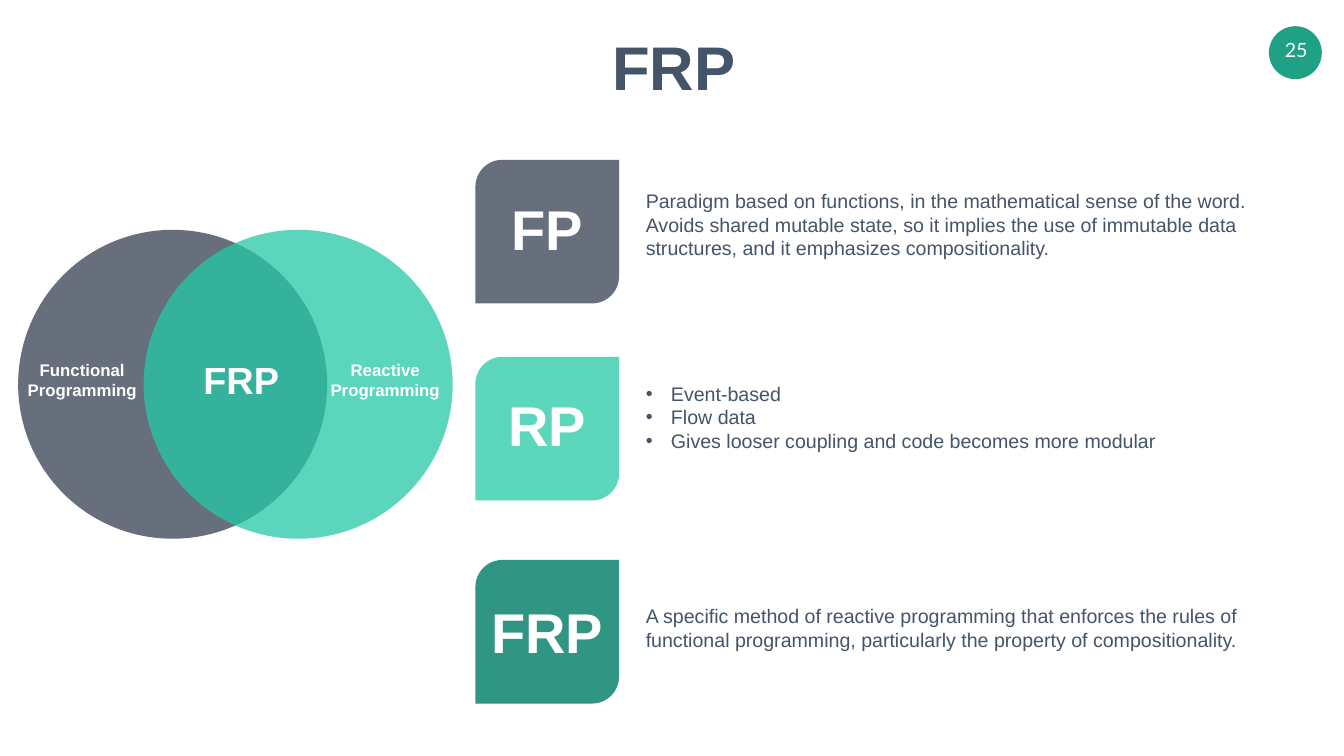
from lxml import etree
from pptx import Presentation
from pptx.dml.color import RGBColor
from pptx.enum import shapes, text
from pptx.oxml.ns import qn
from pptx.util import Inches, Pt

WHITE, SLATE = "FFFFFF", "445469"
CIRCLE_TOP, CIRCLE_SIZE = 4.56, 6.13
CIRCLES = [(0.36, "333F4F"), (2.85, "25C9A6")]  # left, colour
CIRCLE_LABELS = [  # left, top, width, height, size, lines
    (-0.13, 7.08, 3.52, 0.91, 24, ["Functional", "Programming"]),
    (2.53, 7.03, 4.51, 1.01, 54, ["FRP"]),
    (5.88, 7.08, 3.52, 0.91, 24, ["Reactive", "Programming"]),
]
TILE_LEFT, TILE_SIZE = 9.43, 2.85
TOPICS = [  # name, colour, tile top, name top, body top, body height, bulleted, lines
    ("FP", "666F7B", 3.17, 3.81, 3.62, 1.85, False, [
        "Paradigm based on functions, in the mathematical sense of the word.",
        "Avoids shared mutable state, so it implies the use of immutable data "
        "structures, and it emphasizes compositionality."]),
    ("RP", "5CD7BC", 7.08, 7.69, 7.44, 2.49, True, [
        "Event-based",
        "Flow data",
        "Gives looser coupling and code becomes more modular"]),
    ("FRP", "309583", 11.11, 11.81, 11.86, 1.55, False, [
        "A specific method of reactive programming that enforces the rules of "
        "functional programming, particularly the property of compositionality."]),
]


def color(value):
    return RGBColor.from_string(value)


def add_figure(page, kind, left, top, size, fill, opacity=100):
    figure = page.shapes.add_shape(kind, *map(Inches, (left, top, size, size)))
    figure.shadow.inherit = False
    figure.fill.solid()
    figure.fill.fore_color.rgb = color(fill)
    figure.line.fill.background()
    if opacity < 100:
        tint = figure.fill._xPr.find(qn("a:solidFill"))[0]
        etree.SubElement(tint, qn("a:alpha"), val=str(opacity * 1000))
    return figure


def add_bullet(para):
    props = para._p.get_or_add_pPr()
    props.set("marL", str(Inches(0.5)))
    props.set("indent", str(-Inches(0.5)))
    etree.SubElement(props, qn("a:buFont"), typeface="Arial")
    etree.SubElement(props, qn("a:buChar"), char="•")


def write(box, lines, size, ink, bold=False, align=text.PP_ALIGN.CENTER,
          insets=(0.1, 0.05, 0.1, 0.05), font="Arial", bulleted=False, wrap=True):
    """Fill a box with one paragraph per line; insets are left, top, right, bottom."""
    frame = box.text_frame
    frame.text = "\n".join(lines)
    frame.word_wrap = wrap
    frame.auto_size = text.MSO_AUTO_SIZE.NONE
    frame.vertical_anchor = text.MSO_ANCHOR.TOP
    (frame.margin_left, frame.margin_top,
     frame.margin_right, frame.margin_bottom) = map(Inches, insets)
    for para in frame.paragraphs:
        para.alignment = align
        if bulleted:
            add_bullet(para)
        for span in para.runs:
            span.font.name = font
            span.font.size = Pt(size)
            span.font.bold = bold
            span.font.color.rgb = color(ink)


def add_text(page, left, top, width, height, *args, **style):
    box = page.shapes.add_textbox(*map(Inches, (left, top, width, height)))
    write(box, *args, **style)


def add_topic(page, name, fill, tile_top, name_top, body_top, body_height, bulleted, lines):
    tile = add_figure(page, shapes.MSO_SHAPE.ROUND_2_DIAG_RECTANGLE,
                      TILE_LEFT, tile_top, TILE_SIZE, fill)
    tile.adjustments[0] = 0.188
    tile.adjustments[1] = 0
    add_text(page, TILE_LEFT - 0.13, name_top, TILE_SIZE + 0.26, 1.45,
             [name], 80, WHITE, bold=True)
    add_text(page, 12.81, body_top, 13.42, body_height, lines, 28, SLATE,
             align=text.PP_ALIGN.LEFT, insets=(0, 0.13, 0, 0), bulleted=bulleted)


def main():
    deck = Presentation()
    deck.slide_width, deck.slide_height = Inches(26.66), Inches(15)
    page = deck.slides.add_slide(deck.slide_layouts[5])

    title = page.shapes.title
    title.left, title.top, title.width, title.height = map(Inches, (1.9, 0.53, 22.93, 1.58))
    write(title, ["FRP"], 88, SLATE, bold=True)

    add_figure(page, shapes.MSO_SHAPE.OVAL, 25.17, 0.52, 1.05, "1EA185")
    add_text(page, 25.27, 0.66, 0.88, 0.67, ["25"], 28, WHITE, font="Lato",
             insets=(0.2, 0.1, 0.2, 0.1), wrap=False)

    for left, fill in CIRCLES:
        add_figure(page, shapes.MSO_SHAPE.OVAL, left, CIRCLE_TOP, CIRCLE_SIZE, fill, opacity=75)
    for left, top, width, height, size, lines in CIRCLE_LABELS:
        add_text(page, left, top, width, height, lines, size, WHITE, bold=True)

    for topic in TOPICS:
        add_topic(page, *topic)

    deck.save("out.pptx")


if __name__ == "__main__":
    main()
